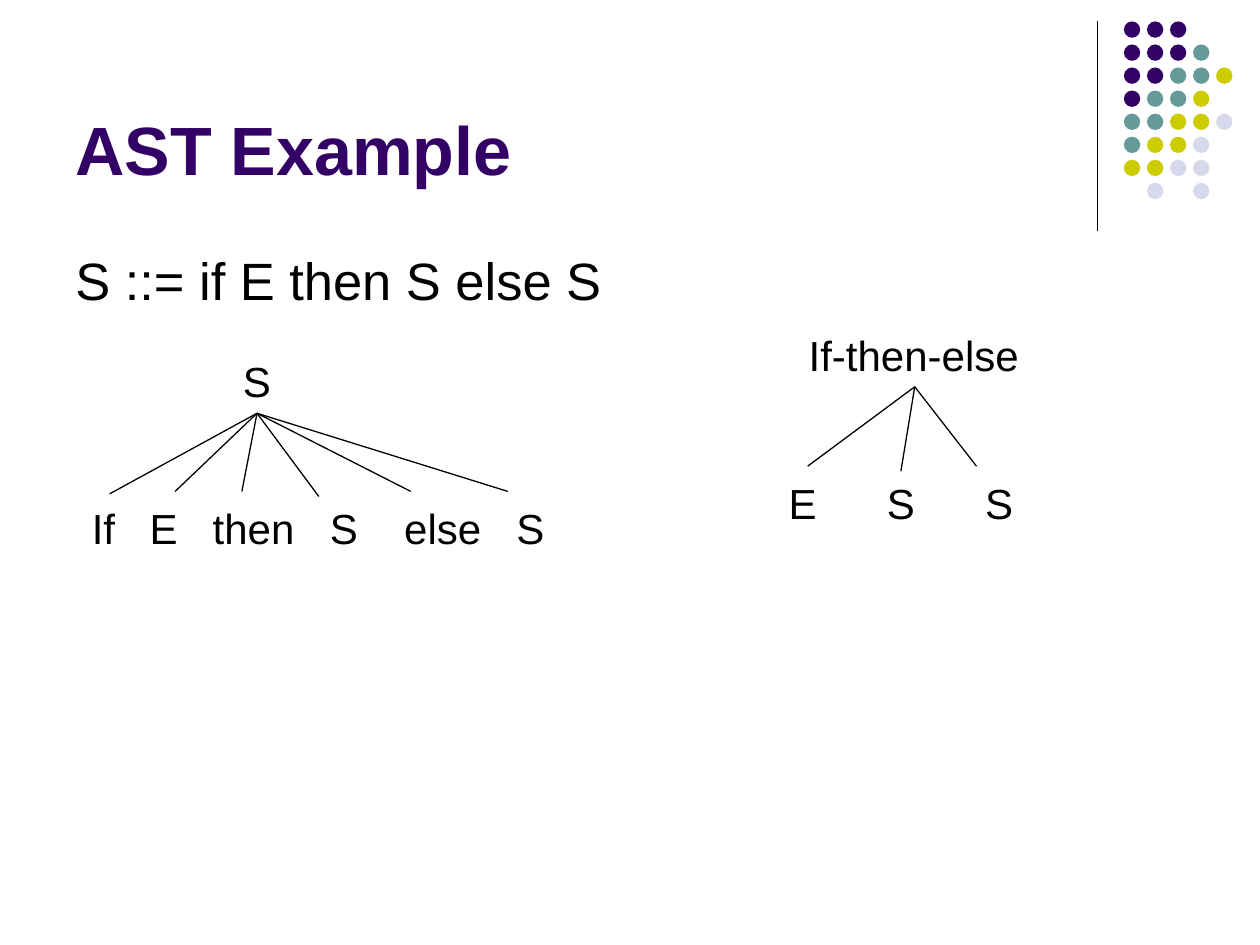
from lxml.etree import SubElement
from pptx import Presentation
from pptx.dml.color import RGBColor
from pptx.enum.shapes import MSO_CONNECTOR as LINK, MSO_SHAPE as SHAPE
from pptx.enum.text import MSO_ANCHOR as ANCHOR
from pptx.oxml.ns import qn
from pptx.util import Inches, Pt

BLACK, PURPLE = "000000", "330066"
DOTS = ["PPP", "PPPT", "PPTTY", "PTTY", "TTYYL", "TYYL", "YYLL", " L L"]
HUES = {"P": PURPLE, "T": "669999", "Y": "CCCC00", "L": "D8D8EC"}
DOT_LEFT, DOT_TOP, PITCH, DOT = 8.92, 0.17, 0.183, 0.13

TITLE = ("AST Example", (0.5, 0.13, 8.25, 1.42))
RULE = ("S ::= if E then S else S", (0.5, 1.88, 9, 4.82))
# Each tree: root and its box, leaves and their box, tab stops, apex, branch ends
TREES = [
    {"root": "S", "root_box": (1.83, 2.77, 0.42, 0.5),
     "leaves": ["If", "E", "then", "S", "else", "S"],
     "leaf_box": (0.63, 3.94, 3.79, 0.5),
     "stops": [0.46, 0.96, 1.89, 2.48, 3.37],
     "apex": (2.04, 3.28),
     "ends": [(0.87, 3.92), (1.39, 3.9), (1.92, 3.9),
              (2.53, 3.94), (3.26, 3.9), (4.03, 3.9)]},
    {"root": "If-then-else", "root_box": (6.32, 2.57, 1.86, 0.5),
     "leaves": ["E", "S", "S"],
     "leaf_box": (6.16, 3.74, 1.98, 0.5),
     "stops": [0.78, 1.56],
     "apex": (7.26, 3.07),
     "ends": [(6.41, 3.7), (7.15, 3.74), (7.75, 3.7)]},
]

deck = Presentation()
deck.slide_width, deck.slide_height = Inches(10), Inches(7.5)
slide = deck.slides.add_slide(deck.slide_layouts[6])
shapes = slide.shapes


def color(text):
    return RGBColor.from_string(text)


def add_line(start, end):
    line = shapes.add_connector(LINK.STRAIGHT, *map(Inches, start + end))
    line.line.color.rgb = color(BLACK)
    line.line.width = Pt(0.75)
    SubElement(line._element.spPr, qn("a:effectLst"))


def add_dot(left, top, hue):
    dot = shapes.add_shape(SHAPE.OVAL, *map(Inches, (left, top, DOT, DOT)))
    dot.shadow.inherit = False
    dot.fill.solid()
    dot.fill.fore_color.rgb = color(hue)
    dot.line.fill.background()


def add_text(text, box, size=24, hue=BLACK, bold=False, stops=(), **frame_format):
    frame = shapes.add_textbox(*map(Inches, box)).text_frame
    frame_format = {"word_wrap": True, "margin_right": 0, **frame_format}
    for name, value in frame_format.items():
        setattr(frame, name, value)
    para = frame.paragraphs[0]
    para.text = text
    if stops:
        tabs = SubElement(para._p.get_or_add_pPr(), qn("a:tabLst"))
        for stop in stops:
            SubElement(tabs, qn("a:tab"), pos=str(Inches(stop)), algn="l")
    font = para.runs[0].font
    for name, value in {"name": "Arial", "size": Pt(size), "bold": bold}.items():
        setattr(font, name, value)
    font.color.rgb = color(hue)


add_line((8.71, 0.17), (8.71, 1.83))
for row, marks in enumerate(DOTS):
    for col, mark in enumerate(marks):
        if mark in HUES:
            add_dot(DOT_LEFT + col * PITCH, DOT_TOP + row * PITCH, HUES[mark])

add_text(*TITLE, size=39, hue=PURPLE, bold=True, vertical_anchor=ANCHOR.BOTTOM)
add_text(*RULE, size=30, margin_top=Inches(0.09))
for tree in TREES:
    add_text(tree["root"], tree["root_box"])
    add_text("\t".join(tree["leaves"]), tree["leaf_box"], stops=tree["stops"])
    for end in tree["ends"]:
        add_line(tree["apex"], end)

deck.save("out.pptx")
